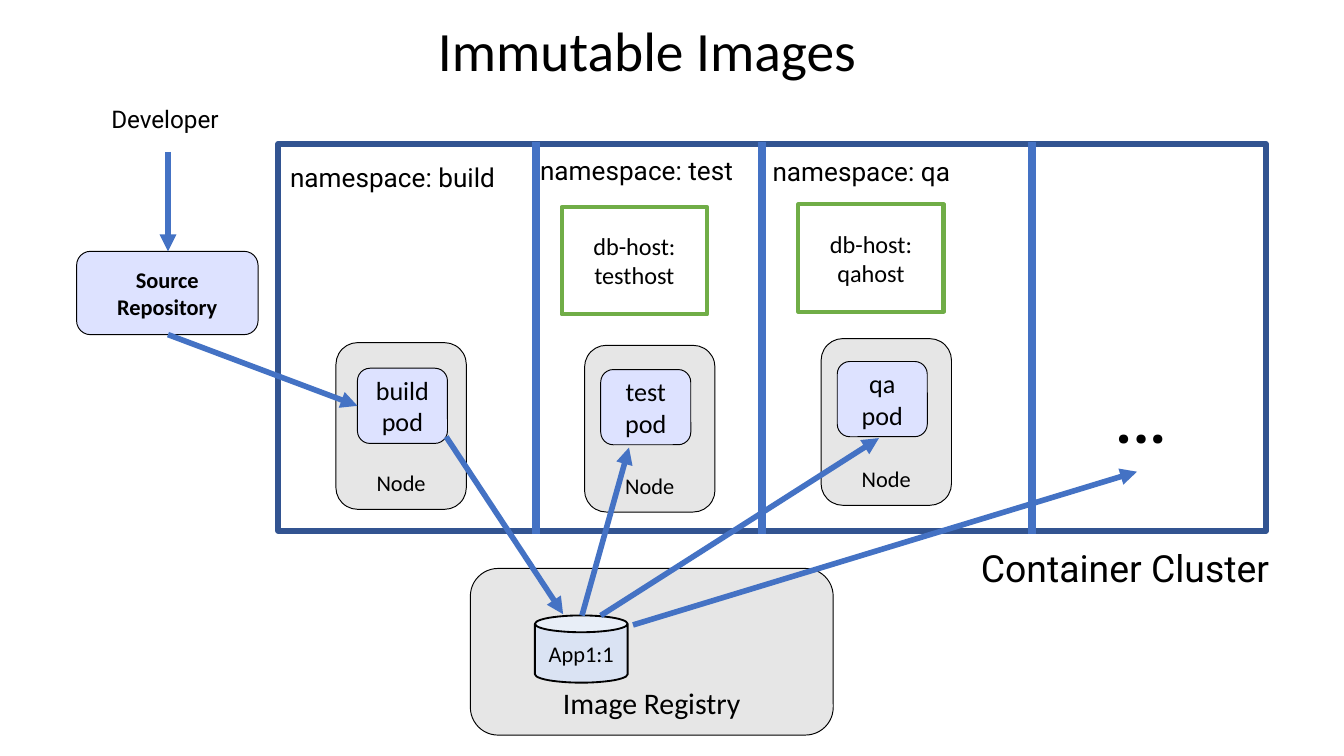
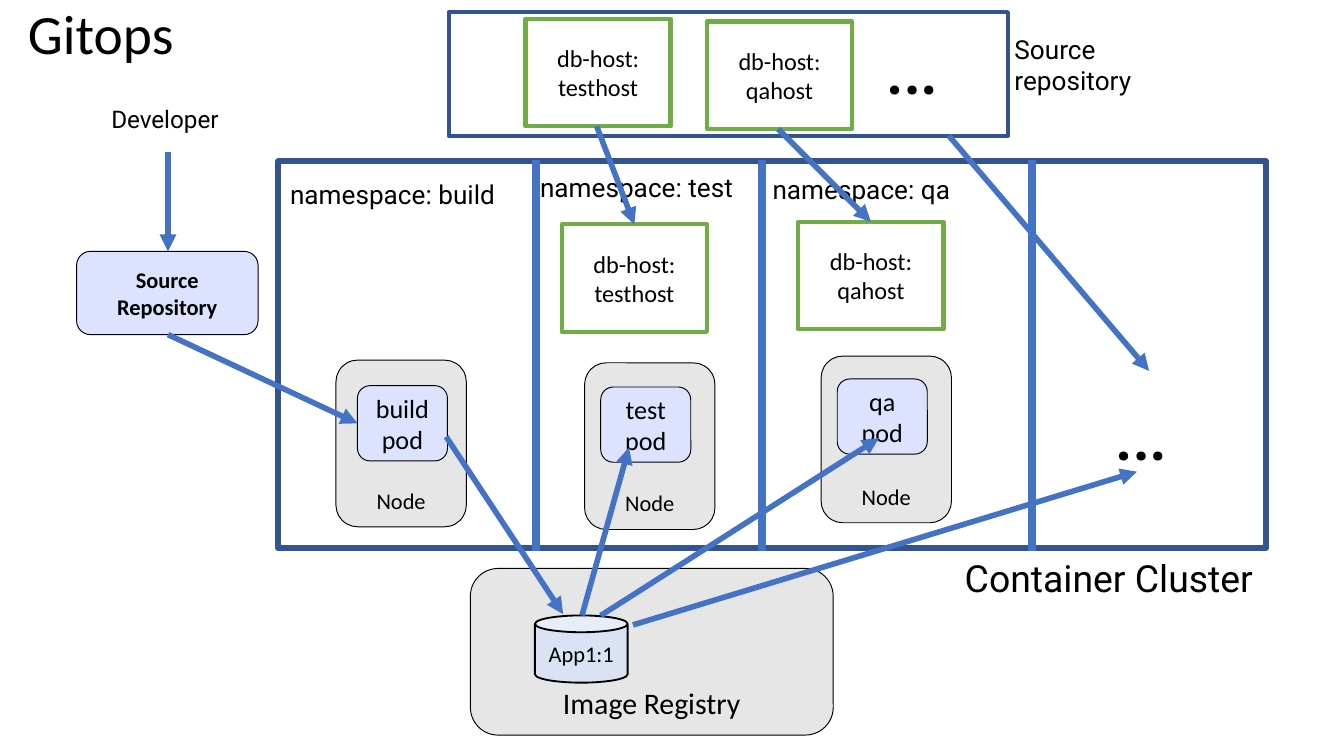
from dataclasses import dataclass

import pptx
import pptx.dml.color
import pptx.enum.shapes
import pptx.enum.text
import pptx.oxml
import pptx.oxml.ns
import pptx.util

SHAPE = pptx.enum.shapes.MSO_SHAPE
ANCHOR = pptx.enum.text.MSO_ANCHOR
EMU_PER_PX = 9144  # 100 px to the inch


@dataclass(frozen=True)
class Theme:
    body: str = "Calibri"
    label: str = "Roboto"
    ink: str = "000000"
    paper: str = "FFFFFF"
    grey: str = "E6E6E6"
    lilac: str = "DDE2FF"
    pale_blue: str = "DAE3F3"
    frame: str = "325491"
    arrow: str = "4472C4"
    config: str = "70AD47"
    title_size: float = 29.7
    dots_size: int = 44
    cluster_size: int = 20
    registry_size: int = 16
    text_size: int = 14
    config_size: int = 13
    small_size: int = 12


@dataclass(frozen=True)
class Namespace:
    """Positions are (x, y) with y counted from the top of the cluster."""
    name: str
    label: tuple
    label_width: int
    node: tuple
    pod: tuple
    pod_text: str
    config: tuple = ()
    config_text: str = ""


THEME = Theme()
BUILD = Namespace("build", (206, 8), 176, (250, 148), (266, 167), "build\vpod")
TEST = Namespace("test", (392, 3), 166, (435, 150), (447, 168), "test pod",
                 (418, 47), "db-host: testhost")
QA = Namespace("qa", (565, 4), 154, (611, 145), (623, 162), "qa pod",
               (594, 45), "db-host: qahost")
DIVIDERS = (399, 567, 768)
PULLS = (((433, 458), (468, 333)), ((447, 458), (654, 326)), ((471, 465), (846, 351)))


def px(n):
    return pptx.util.Emu(n * EMU_PER_PX)


def rgb(color):
    return pptx.dml.color.RGBColor.from_string(color)


def write(tf, text, size, font, bold=False, align=None):
    tf.text = text
    for p in tf.paragraphs:
        p.alignment = align
        for r in p.runs:
            r.font.size = pptx.util.Pt(size)
            r.font.name = font
            r.font.bold = bold
            r.font.color.rgb = rgb(THEME.ink)


def add_box(slide, kind, x, y, w, h, fill=None, line=THEME.ink, weight=0.5,
            text="", size=THEME.small_size, anchor=ANCHOR.MIDDLE, bold=False):
    sp = slide.shapes.add_shape(kind, px(x), px(y), px(w), px(h))
    sp.shadow.inherit = False
    if fill:
        sp.fill.solid()
        sp.fill.fore_color.rgb = rgb(fill)
    else:
        sp.fill.background()
    sp.line.color.rgb = rgb(line)
    sp.line.width = pptx.util.Pt(weight)
    if text:
        tf = sp.text_frame
        tf.word_wrap = True
        tf.vertical_anchor = anchor
        write(tf, text, size, THEME.body, bold, pptx.enum.text.PP_ALIGN.CENTER)
    return sp


def add_label(slide, text, x, y, w, h, size=THEME.text_size, font=THEME.label, wrap=False):
    tf = slide.shapes.add_textbox(px(x), px(y), px(w), px(h)).text_frame
    tf.word_wrap = wrap
    write(tf, text, size, font)
    return tf


def add_title(slide, text, x, y, w):
    tf = add_label(slide, text, x, y, w, 51, THEME.title_size, THEME.body, wrap=True)
    tf.vertical_anchor = ANCHOR.MIDDLE
    tf.paragraphs[0].line_spacing = 0.9


def add_dots(slide, x, y):
    add_label(slide, "…", x, y, 74, 84, THEME.dots_size, wrap=True)


def add_line(slide, start, end, weight):
    line = slide.shapes.add_connector(
        pptx.enum.shapes.MSO_CONNECTOR.STRAIGHT, *map(px, (*start, *end)))
    line.line.color.rgb = rgb(THEME.arrow)
    line.line.width = pptx.util.Pt(weight)
    sp_pr = line._element.spPr
    sp_pr.append(pptx.oxml.parse_xml(
        f'<a:effectLst {pptx.oxml.ns.nsdecls("a")}/>'))
    return line


def add_arrow(slide, start, end):
    line = add_line(slide, start, end, 3)
    line.line._get_or_add_ln().append(pptx.oxml.parse_xml(
        f'<a:tailEnd {pptx.oxml.ns.nsdecls("a")} type="triangle"/>'))


def add_config(slide, text, x, y):
    add_box(slide, SHAPE.RECTANGLE, x, y, 108, 80, THEME.paper, THEME.config, 2.25,
            text, THEME.config_size)


def add_namespace(slide, ns, top):
    def place(point):
        return point[0], top + point[1]

    add_box(slide, SHAPE.ROUNDED_RECTANGLE, *place(ns.node), 97, 124, THEME.grey,
            text="Node", anchor=ANCHOR.BOTTOM)
    add_box(slide, SHAPE.ROUNDED_RECTANGLE, *place(ns.pod), 67, 56, THEME.lilac,
            text=ns.pod_text, size=THEME.text_size)
    add_label(slide, f"namespace: {ns.name}", *place(ns.label), ns.label_width, 34)
    if ns.config:
        add_config(slide, ns.config_text, *place(ns.config))


def add_registry(slide):
    add_box(slide, SHAPE.ROUNDED_RECTANGLE, 350, 423, 270, 124, THEME.grey,
            text="Image Registry", size=THEME.registry_size, anchor=ANCHOR.BOTTOM)
    tf = add_box(slide, SHAPE.CAN, 398, 458, 69, 50, THEME.pale_blue, weight=1,
                 text="App1:1").text_frame
    tf.margin_left = tf.margin_top = tf.margin_right = tf.margin_bottom = 0


def add_developer(slide):
    add_label(slide, "Developer", 73, 73, 104, 32, THEME.config_size)
    add_box(slide, SHAPE.ROUNDED_RECTANGLE, 57, 187, 135, 62, THEME.lilac,
            text="Source\nRepository", bold=True)
    add_arrow(slide, (125, 113), (125, 187))


def add_pipeline(slide, top, caption):
    """Draw developer, registry and the cluster whose frame starts at top."""
    add_registry(slide)
    add_developer(slide)
    add_box(slide, SHAPE.RECTANGLE, 207, top, 735, 288, line=THEME.frame, weight=3)
    add_namespace(slide, BUILD, top)
    add_arrow(slide, (125, 249), (266, top + 195))
    add_arrow(slide, (332, 325), (419, 457))
    for x in DIVIDERS:
        add_line(slide, (x, top - 1), (x, top + 290), 4.5)
    for ns in (TEST, QA):
        add_namespace(slide, ns, top)
    add_dots(slide, 819, top + 157)
    add_label(slide, "Container Cluster", *caption, 240, 44, THEME.cluster_size)
    for start, end in PULLS:
        add_arrow(slide, start, end)


def add_config_repository(slide):
    add_box(slide, SHAPE.RECTANGLE, 334, 9, 416, 92, line=THEME.frame, weight=2.25)
    add_config(slide, TEST.config_text, 391, 14)
    add_config(slide, QA.config_text, 526, 16)
    add_label(slide, "Source\nrepository", 745, 20, 110, 57)
    add_dots(slide, 648, 4)
    add_arrow(slide, (444, 94), (472, 167))
    add_arrow(slide, (579, 96), (648, 165))
    add_arrow(slide, (706, 101), (855, 276))


def add_slide(prs):
    return prs.slides.add_slide(prs.slide_layouts[6])


def main():
    prs = pptx.Presentation()
    prs.slide_width, prs.slide_height = px(1000), px(1125) // 2

    s = add_slide(prs)
    add_title(s, "Immutable Images", 316, 14, 464)
    add_pipeline(s, 107, (720, 401))

    s = add_slide(prs)
    add_title(s, "Gitops", 11, 2, 133)
    add_pipeline(s, 120, (708, 408))
    add_config_repository(s)

    prs.save("out.pptx")


if __name__ == "__main__":
    main()
